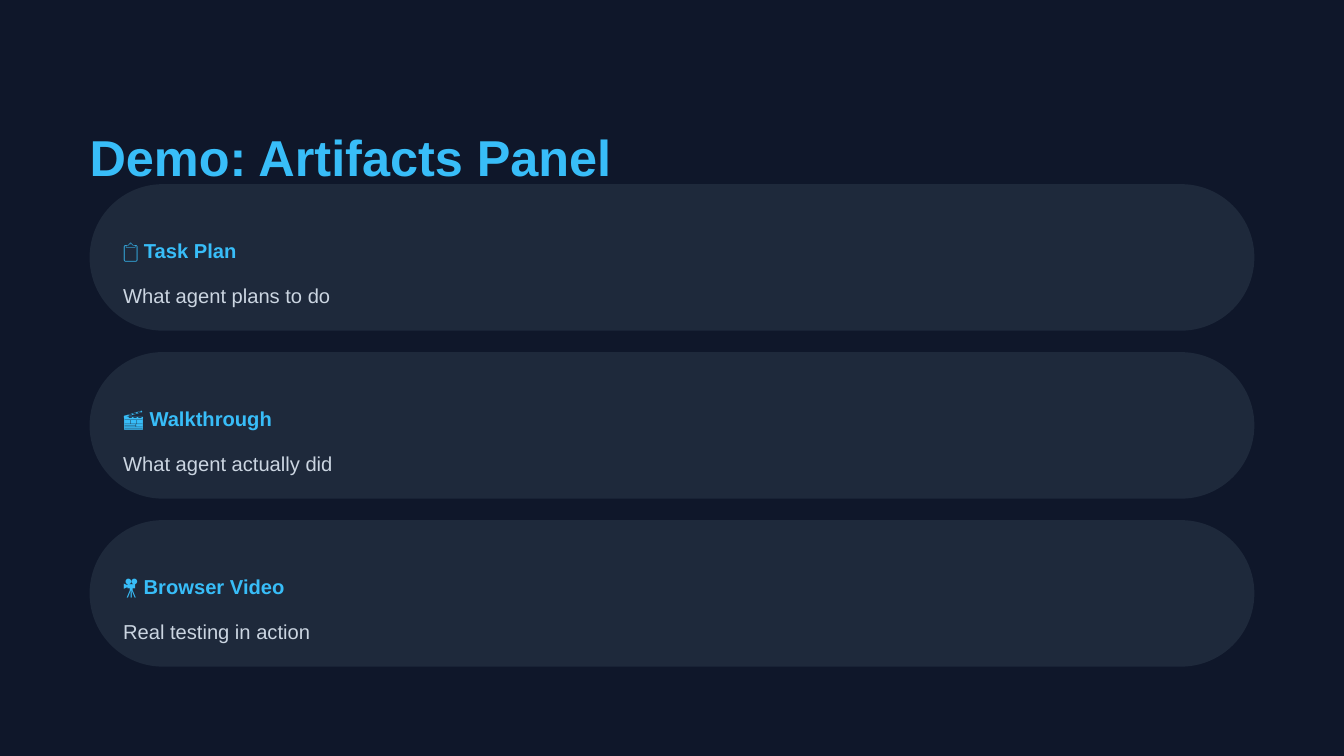
from pptx import Presentation
from pptx.dml.color import RGBColor as Color
from pptx.enum.shapes import MSO_SHAPE as Shape
from pptx.enum.text import MSO_ANCHOR as Anchor, MSO_AUTO_SIZE as Fit, PP_ALIGN as Align
from pptx.util import Inches, Pt

NAVY = Color(0x0F, 0x17, 0x2A)
SLATE = Color(0x1E, 0x29, 0x3B)
SKY = Color(0x38, 0xBD, 0xF8)
MIST = Color(0xCB, 0xD5, 0xE1)

WIDE = 10
HIGH = WIDE * 9 / 16
EDGE = 2 / 3

CARDS = [
    ("📋 Task Plan", "What agent plans to do"),
    ("🎬 Walkthrough", "What agent actually did"),
    ("🎥 Browser Video", "Real testing in action"),
]


def write(shape, text, size=10.8, color=MIST, bold=False, lead=1.87):
    frame = shape.text_frame
    frame.word_wrap = True
    frame.auto_size = Fit.NONE
    frame.vertical_anchor = Anchor.TOP
    frame.margin_left = frame.margin_right = 0
    frame.margin_top = frame.margin_bottom = 0
    para = frame.paragraphs[0]
    para.alignment = Align.LEFT
    para.line_spacing = lead
    run = para.add_run()
    run.text = text
    font = run.font
    font.name = "Arial"
    font.size = Pt(size)
    font.bold = bold
    font.color.rgb = color


def add_title(slide, text, left, top, width, height):
    title = slide.shapes.title
    title.left, title.top = Inches(left), Inches(top)
    title.width, title.height = Inches(width), Inches(height)
    write(title, text, size=27, color=SKY, bold=True, lead=1.6)


def add_card(slide, head, body, left, top, width, height):
    box = [Inches(n) for n in (left, top, width, height)]
    card = slide.shapes.add_shape(Shape.ROUNDED_RECTANGLE, *box)
    card.adjustments[0] = 0.5
    card.shadow.inherit = False
    card.fill.solid()
    card.fill.fore_color.rgb = SLATE
    card.line.fill.background()
    rows = [(head, 0.25, SKY, True), (body, 0.25 + 1 / 3, MIST, False)]
    for text, drop, color, bold in rows:
        label = slide.shapes.add_textbox(
            Inches(left + 0.25), Inches(top + drop), Inches(width - 0.34), Inches(0.21))
        write(label, text, color=color, bold=bold)


def main():
    deck = Presentation()
    deck.slide_width, deck.slide_height = Inches(WIDE), Inches(HIGH)
    slide = deck.slides.add_slide(deck.slide_layouts[5])
    back = slide.background.fill
    back.solid()
    back.fore_color.rgb = NAVY
    add_title(slide, "Demo: Artifacts Panel", EDGE, EDGE, 8.84, 0.45)
    for i, (head, body) in enumerate(CARDS):
        add_card(slide, head, body, EDGE, 1.37 + 1.25 * i, WIDE - 2 * EDGE, 1.09)
    deck.save("out.pptx")


if __name__ == "__main__":
    main()
